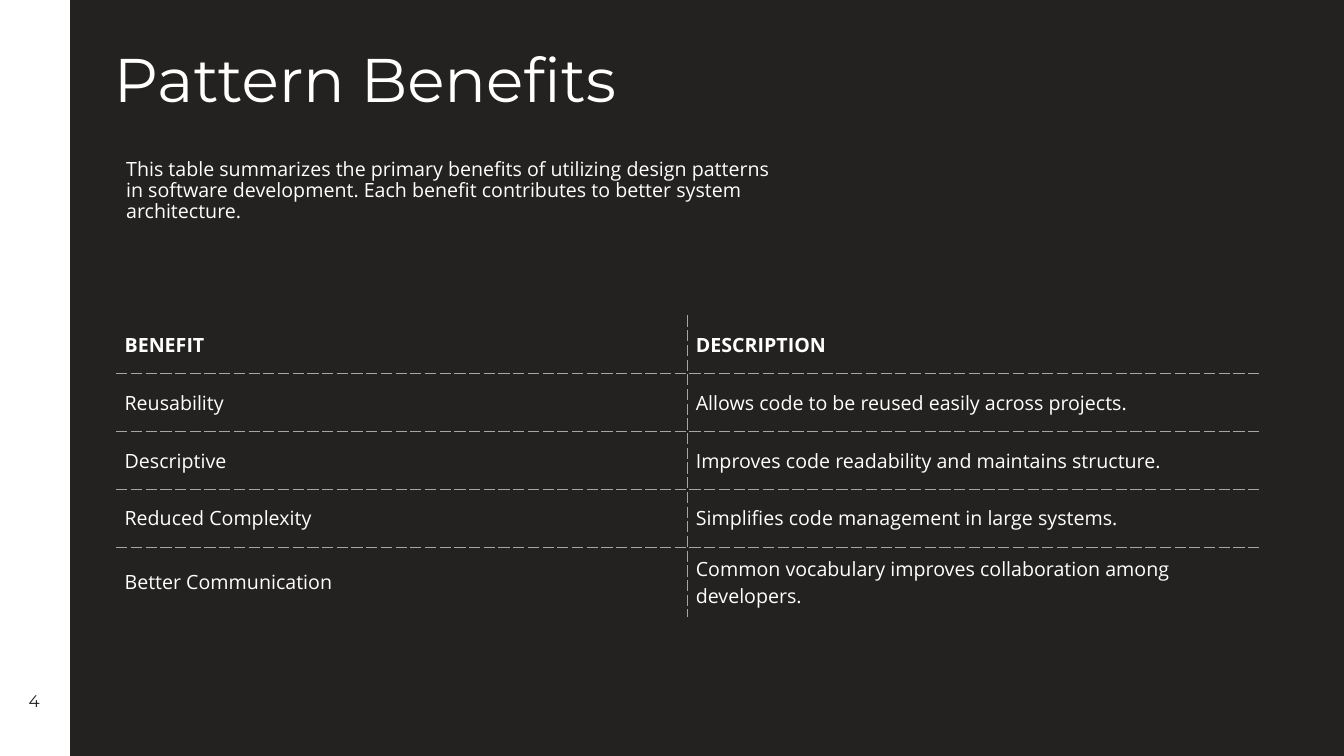
from lxml import etree
from pptx import Presentation
from pptx.dml.color import RGBColor
from pptx.enum.shapes import MSO_CONNECTOR, MSO_SHAPE
from pptx.enum.text import MSO_ANCHOR, PP_ALIGN
from pptx.oxml import parse_xml
from pptx.oxml.ns import nsdecls, qn
from pptx.util import Cm, Pt

STRAIGHT = MSO_CONNECTOR.STRAIGHT
RECTANGLE = MSO_SHAPE.RECTANGLE
TOP, MIDDLE = MSO_ANCHOR.TOP, MSO_ANCHOR.MIDDLE
LEFT, CENTER = PP_ALIGN.LEFT, PP_ALIGN.CENTER

DARK, WHITE, GREY = "232220", "FFFFFF", "A6A6A6"
HEADING_FONT, BODY_FONT = "Montserrat", "Open Sans"
SLIDE_HEIGHT = 19.05
STRIPE_WIDTH = 1.75


def color(code):
    return RGBColor.from_string(code)


def add_span(para, text, size, font, code, bold=False):
    span = para.add_run()
    span.text = text
    span.font.size = Pt(size)
    span.font.name = font
    span.font.bold = bold
    span.font.color.rgb = color(code)


deck = Presentation()
deck.slide_width = Cm(33.87)
deck.slide_height = Cm(SLIDE_HEIGHT)
page = deck.slides.add_slide(deck.slide_layouts[6])
page.background.fill.solid()
page.background.fill.fore_color.rgb = color(DARK)

# White stripe on the left with its edge line
stripe = page.shapes.add_shape(RECTANGLE, 0, 0, Cm(STRIPE_WIDTH), Cm(SLIDE_HEIGHT))
stripe.shadow.inherit = False
stripe.fill.solid()
stripe.fill.fore_color.rgb = color(WHITE)
stripe.line.fill.background()

edge = page.shapes.add_connector(
    STRAIGHT, Cm(STRIPE_WIDTH), 0, Cm(STRIPE_WIDTH), Cm(SLIDE_HEIGHT))
edge.line.color.rgb = color(WHITE)
edge.line.width = Pt(1.5)
etree.SubElement(edge._element.spPr, qn("a:effectLst"))

# Benefits table
benefits = [
    ("BENEFIT", "DESCRIPTION"),
    ("Reusability", "Allows code to be reused easily across projects."),
    ("Descriptive", "Improves code readability and maintains structure."),
    ("Reduced Complexity", "Simplifies code management in large systems."),
    ("Better Communication",
     "Common vocabulary improves collaboration among developers."),
]
last_row, last_column = len(benefits) - 1, len(benefits[0]) - 1
row_height = Cm(1.46)
table = page.shapes.add_table(
    len(benefits), len(benefits[0]), Cm(2.93), Cm(7.95),
    Cm(28.79), row_height * len(benefits)).table
table.first_row = False
table.horz_banding = False

for row, texts in enumerate(benefits):
    table.rows[row].height = row_height
    for column, text in enumerate(texts):
        cell = table.cell(row, column)
        cell.fill.background()
        cell.vertical_anchor = MIDDLE
        cell.margin_left = cell.margin_right = Cm(0.21)
        cell.margin_top = cell.margin_bottom = Cm(0.21)
        add_span(cell.text_frame.paragraphs[0], text, 14, BODY_FONT, WHITE,
                 bold=row == 0)
        # Only the inner borders show
        inner_sides = {
            "lnL": column > 0,
            "lnR": column < last_column,
            "lnT": row > 0,
            "lnB": row < last_row,
        }
        for position, (side, shown) in enumerate(inner_sides.items()):
            stroke = "<a:noFill/>"
            if shown:
                stroke = (f'<a:solidFill><a:srgbClr val="{GREY}"/></a:solidFill>'
                          '<a:prstDash val="sysDash"/>')
            border = parse_xml(
                f'<a:{side} {nsdecls("a")} w="{Pt(1)}">{stroke}</a:{side}>')
            cell._tc.get_or_add_tcPr().insert(position, border)

# Text: wording, place, size, font, colour, anchor, alignment, spacing, top inset
texts = [
    ("Pattern Benefits", (2.62, 0.84, 28.6, 2.36),
     44, HEADING_FONT, WHITE, TOP, LEFT, 1, 0.19),
    ("This table summarizes the primary benefits of utilizing design patterns "
     "in software development. Each benefit contributes to better system "
     "architecture.", (2.93, 3.73, 16.76, 2.18),
     14, BODY_FONT, WHITE, MIDDLE, LEFT, 0.88, 0.13),
    ("4", (0, 17.15, 1.73, 0.99),
     12, HEADING_FONT, DARK, MIDDLE, CENTER, 1, 0.13),
]
for text, place, size, font, code, anchor, alignment, spacing, inset in texts:
    box = page.shapes.add_textbox(*(Cm(length) for length in place))
    frame = box.text_frame
    frame.word_wrap = True
    frame.vertical_anchor = anchor
    frame.margin_top = Cm(inset)
    para = frame.paragraphs[0]
    para.alignment = alignment
    para.line_spacing = spacing
    add_span(para, text, size, font, code)

deck.save("out.pptx")
